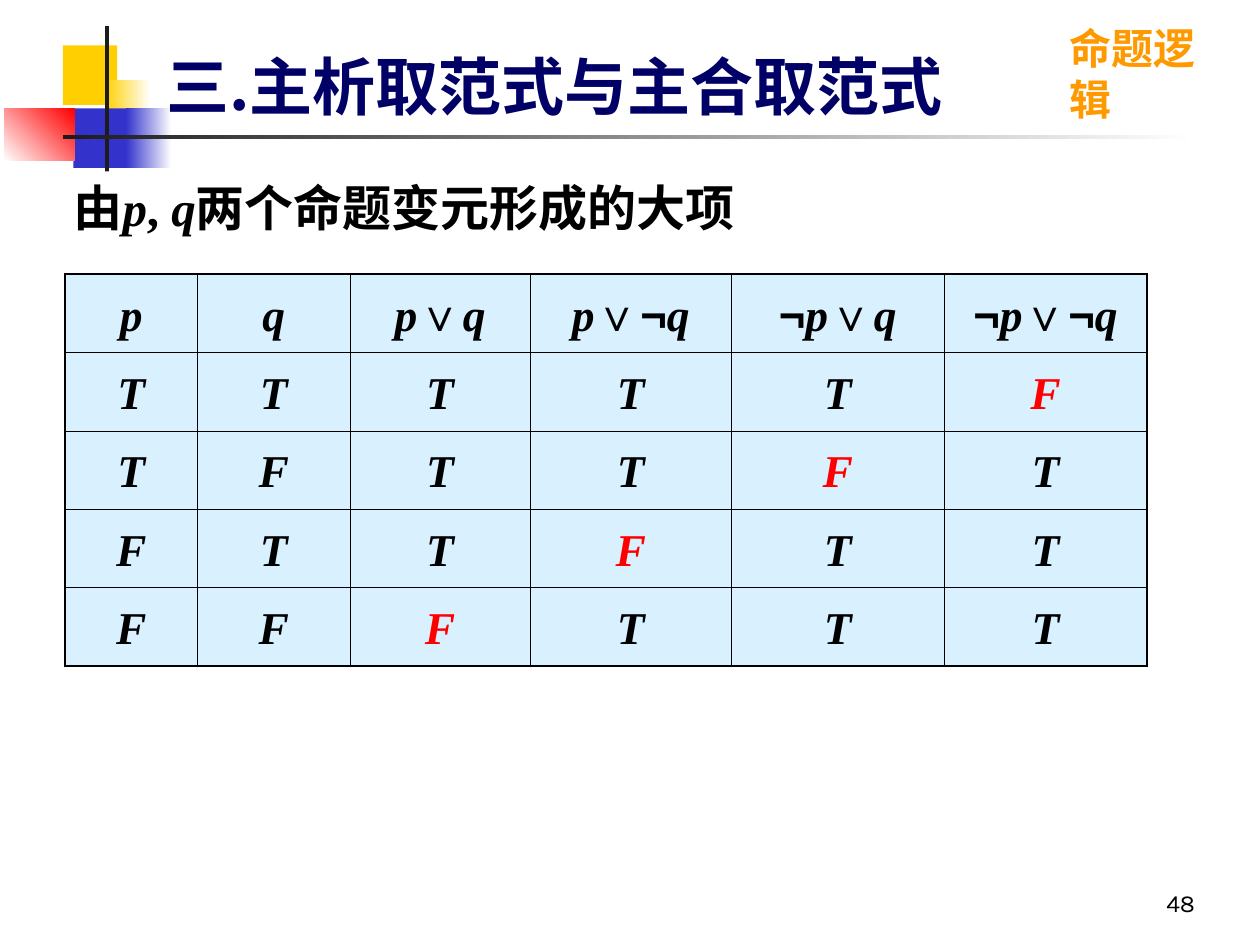
from itertools import groupby, product

from lxml import etree
from pptx import Presentation
from pptx import util as u
from pptx.dml.color import RGBColor
from pptx.enum import shapes, text
from pptx.oxml.ns import qn

COLORS = {
    "white": "FFFFFF", "black": "000000", "ink": "1C1C1C", "yellow": "FFCF01",
    "blue": "3333CC", "red": "FF0000", "orange": "FF9900", "navy": "000066",
    "cell": "D9F1FF",
}


def rgb(name):
    """Return the named colour."""
    return RGBColor.from_string(COLORS[name])


class Deck:
    """Holds the style and the current slide, and adds elements to it."""

    serif, symbol, heading, label = "Times New Roman", "Arial", "Noto Sans CJK SC", "Karla"
    letters = "pqTF"
    thin, thick = 0.45, 1.08

    def __init__(self, width, height):
        """Start a presentation with one blank slide."""
        self.prs = Presentation()
        self.prs.slide_width, self.prs.slide_height = u.Pt(width), u.Pt(height)
        self.slide = self.prs.slides.add_slide(self.prs.slide_layouts[6])

    def block(self, box, start, end=None, angle=0):
        """Add a rectangle with a solid or two-colour gradient fill."""
        sp = self.slide.shapes.add_shape(shapes.MSO_SHAPE.RECTANGLE, *map(u.Pt, box))
        sp.shadow.inherit = False
        sp.line.fill.background()
        if end is None:
            sp.fill.solid()
            sp.fill.fore_color.rgb = rgb(start)
            return
        sp.fill.gradient()
        sp.fill.gradient_angle = angle
        for stop, color, position in zip(sp.fill.gradient_stops, (start, end), (0, 1)):
            stop.color.rgb, stop.position = rgb(color), position

    def style(self, p, size, font, color, bold=True):
        """Set the font of a paragraph."""
        p.font.size, p.font.name, p.font.bold = u.Pt(size), font, bold
        p.font.color.rgb = rgb(color)

    def formula(self, p, content, symbol):
        """Add runs with italic letters and upright symbols."""
        for is_letter, chars in groupby(content, key=lambda c: c in self.letters):
            r = p.add_run()
            r.text = "".join(chars)
            r.font.italic = is_letter
            if not is_letter:
                r.font.name = symbol

    def text(self, box, content, size, font, color, bold=True, wrap=True,
             anchor=text.MSO_ANCHOR.TOP, align=text.PP_ALIGN.LEFT):
        """Add a text box with one paragraph."""
        tf = self.slide.shapes.add_textbox(*map(u.Pt, box)).text_frame
        tf.word_wrap, tf.vertical_anchor = wrap, anchor
        if not wrap:
            tf.auto_size = text.MSO_AUTO_SIZE.SHAPE_TO_FIT_TEXT
        p = tf.paragraphs[0]
        p.alignment = align
        self.style(p, size, font, color, bold)
        self.formula(p, content, font)

    def borders(self, cell, widths):
        """Draw the left, right, top and bottom borders of a cell."""
        tc_pr = cell._tc.get_or_add_tcPr()
        for i, (side, width) in enumerate(zip("LRTB", widths)):
            ln = etree.Element(qn(f"a:ln{side}"), w=str(u.Pt(width)))
            fill = etree.SubElement(ln, qn("a:solidFill"))
            etree.SubElement(fill, qn("a:srgbClr"), val=COLORS["black"])
            tc_pr.insert(i, ln)

    def table(self, left, top, widths, height, rows):
        """Add a truth table whose false clauses are red."""
        n_rows, n_cols = len(rows), len(widths)
        tbl = self.slide.shapes.add_table(
            n_rows, n_cols, *map(u.Pt, (left, top, sum(widths), height * n_rows))).table
        tbl.first_row = tbl.horz_banding = False
        for column, width in zip(tbl.columns, widths):
            column.width = u.Pt(width)
        for i, row in enumerate(rows):
            tbl.rows[i].height = u.Pt(height)
            for j, content in enumerate(row):
                cell = tbl.cell(i, j)
                cell.fill.solid()
                cell.fill.fore_color.rgb = rgb("cell")
                edges = (j == 0, j == n_cols - 1, i == 0, i == n_rows - 1)
                self.borders(cell, [self.thick if e else self.thin for e in edges])
                p = cell.text_frame.paragraphs[0]
                p.alignment = text.PP_ALIGN.CENTER
                p.line_spacing, p.space_before = 1.2, u.Pt(6.5)
                self.style(p, 26, self.serif, "red" if content == "F" and j > 1 else "black")
                self.formula(p, content, self.symbol)


def truth_rows():
    """Return the heading and the values of all maxterms of p and q."""
    signs = list(product(("", "¬"), repeat=2))
    rows = [["p", "q"] + [f"{a}p∨{b}q" for a, b in signs]]
    for values in product("TF", repeat=2):
        falsified = tuple("¬" if v == "T" else "" for v in values)
        rows.append([*values] + ["F" if s == falsified else "T" for s in signs])
    return rows


def main():
    """Build the slide."""
    deck = Deck(720, 540)
    deck.block((36, 26, 31, 34), "yellow")
    deck.block((60, 45.5, 26, 37), "yellow", "white")
    deck.block((42, 62, 30, 34), "blue")
    deck.block((72, 62, 26, 34), "blue", "white")
    deck.block((2.5, 62, 40, 30), "white", "red", 45)
    deck.block((60, 15, 2.25, 83), "ink")
    deck.block((36, 77, 648, 2.25), "ink", "white")
    deck.text((604, 9.5, 110, 36), "命题逻辑", 24, deck.label, "orange", wrap=False)
    deck.text((88, 15, 595, 59), "三.主析取范式与主合取范式", 36, deck.heading, "navy",
              anchor=text.MSO_ANCHOR.BOTTOM)
    deck.text((35, 98, 653, 70), "由p, q两个命题变元形成的大项", 28, deck.serif, "black")
    deck.table(37, 156.75, (76, 87, 103, 115, 121.5, 116), 44.75, truth_rows())
    deck.text((540, 492, 150, 36), "48", 14, deck.label, "black", bold=False,
              anchor=text.MSO_ANCHOR.BOTTOM, align=text.PP_ALIGN.RIGHT)
    deck.prs.save("out.pptx")


if __name__ == "__main__":
    main()
